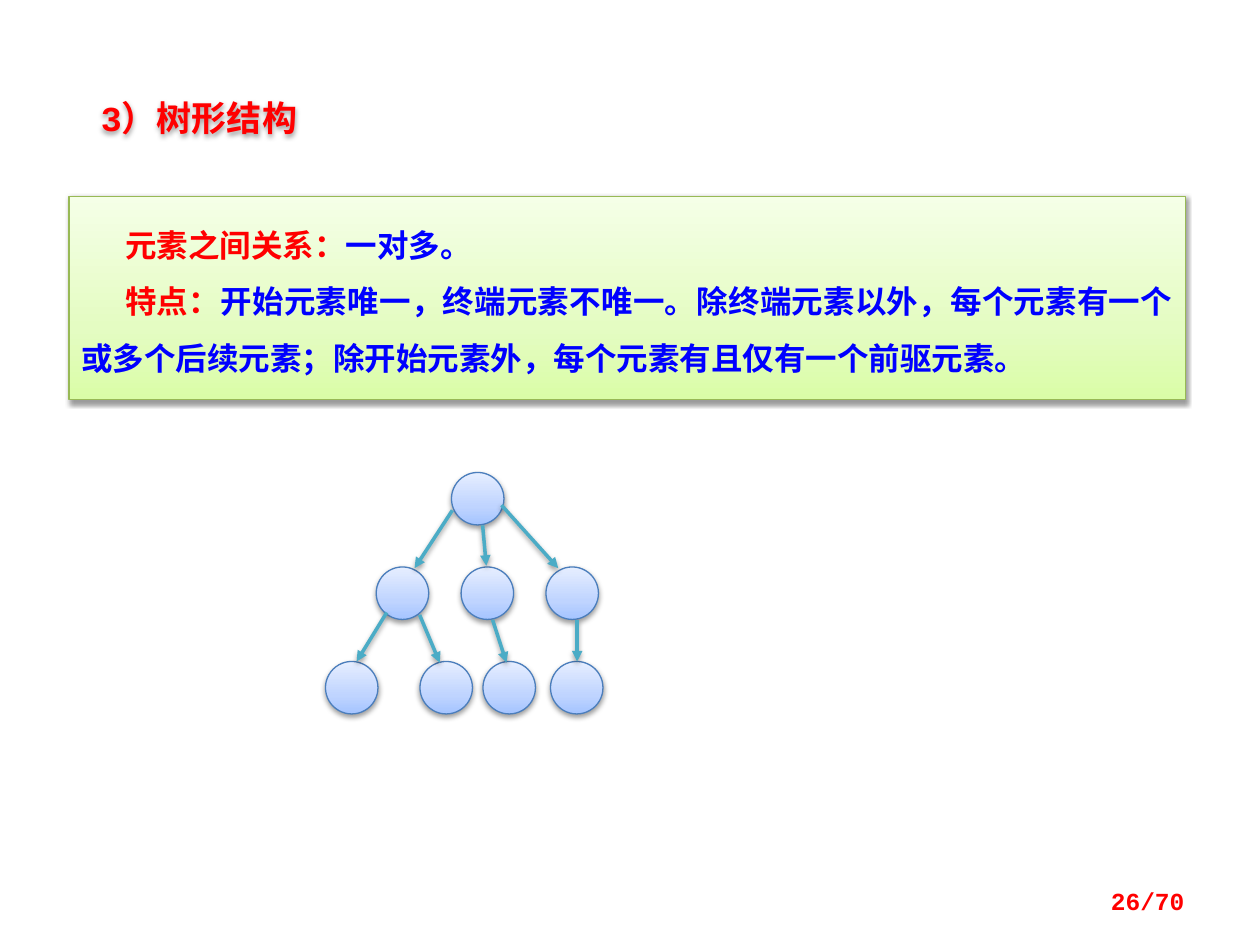
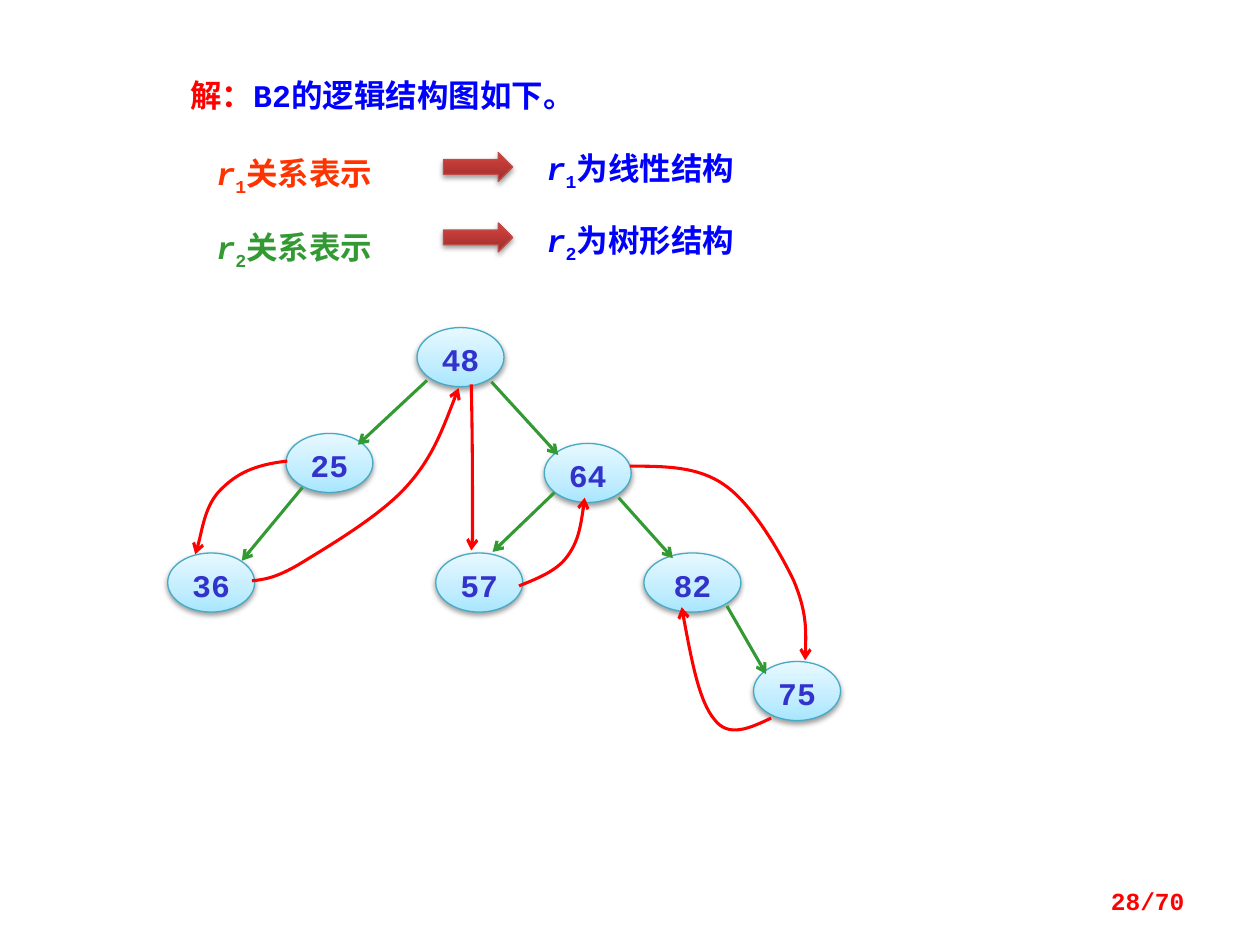
"""Build two slides on tree structures and logical structure diagrams."""
import pptx
import pptx.dml.color
import pptx.enum.shapes
import pptx.enum.text
import pptx.oxml.ns
import pptx.util
from lxml import etree

Pt = pptx.util.Pt
qn = pptx.oxml.ns.qn
SHAPE = pptx.enum.shapes.MSO_SHAPE
ALIGN = pptx.enum.text.PP_ALIGN
ANCHOR = pptx.enum.text.MSO_ANCHOR

LATIN, CJK = "Courier New", "Noto Sans CJK SC"
RED, BLUE, GREEN, ORANGE, INDIGO, TEAL = (
    "FF0000", "0000FF", "339933", "FF3300", "3333CC", "4BACC6")
GREEN_PANEL = ([(0, "DAFDA7"), (35, "E4FCC2"), (100, "F5FFE7")], "98B955")
BLUE_NODE = ([(0, "A4C4FF"), (35, "BFD4FF"), (100, "E6EEFF")], "4B7EBC")
CYAN_NODE = ([(0, "A7E6FF"), (35, "C1EDFF"), (100, "E7F8FF")], "46AAC5")
RED_BLOCK = ([(0, "9C2F2D"), (80, "CB3E3A"), (100, "CE3B37")], "BF4C48")

NODE = 30
TREE_ROWS = [(270, [258]), (324, [215, 263.5, 312]), (378, [186, 240, 276, 314.6])]
TREE_EDGES = [
    (258.5, 291.6, 236.9, 324.7), (275.8, 300.2, 277.9, 323.3),
    (286.6, 288.7, 319, 324.7), (221, 350, 203.8, 378),
    (239.8, 351.4, 251.3, 378.7), (281.5, 354.2, 289.4, 378.7),
    (329.8, 354.2, 329.8, 378)]

NUMBERS = [
    ("48", 238.3, 187.2, 49.7), ("25", 163.4, 247.7, 49.7),
    ("36", 95.8, 316, 49.7), ("64", 311, 253.4, 49.7),
    ("57", 249, 316, 49.7), ("82", 368, 316, 55.4), ("75", 430.6, 378, 49.7)]
R2_EDGES = [
    (244, 217.4, 204.5, 254.2), (172.8, 278.6, 138.2, 320.4),
    (280.8, 218.2, 319, 260), (353.5, 284.4, 384.5, 319),
    (316.8, 281.5, 281.5, 315.4), (415.4, 346.3, 437.8, 385.2)]
R1_CURVES = [
    [(164.2, 263.5), (144, 265.7), (134.6, 271.4), (126, 280),
     (117.4, 288.7), (114.5, 308.9), (111.6, 316.8)],
    [(144, 331.9), (150.5, 331.2), (157.7, 330.5), (172.1, 321.8),
     (187.2, 312.5), (216.7, 295.2), (231.8, 278.6),
     (247, 262.1), (254.2, 241.9), (262.1, 221.8)],
    [(269.3, 219.6), (270, 249.8), (270, 280.1), (270, 295.9),
     (270, 311.8), (270, 313.2), (269.3, 314.6)],
    [(296.6, 334.8), (307.4, 330.5), (318.2, 326.2), (324, 318.2),
     (330.5, 309.6), (332.6, 296.6), (334.1, 284.4)],
    [(440.6, 410.4), (428.4, 416.2), (416.2, 421.9), (408.2, 411.1),
     (399.6, 401), (394.6, 374.4), (389.5, 347)],
    [(360, 266.4), (379.4, 266.4), (398.9, 266.4), (414, 277.2),
     (429.8, 288), (445.7, 315.4), (453.6, 331.9),
     (460.8, 349.2), (460.8, 363.6), (460.1, 377.3)]]


def rgb(color):
    """Turn a hex string into a colour."""
    return pptx.dml.color.RGBColor.from_string(color)


def apply(obj, values):
    """Set each named attribute on the object."""
    for name, value in values.items():
        setattr(obj, name, value)


def add_effects(sp, shadow=True):
    """Give a shape its own effect list, with a soft drop shadow or none."""
    effects = etree.SubElement(sp._element.spPr, qn("a:effectLst"))
    if shadow:
        outer = etree.SubElement(
            effects, qn("a:outerShdw"), blurRad=str(Pt(3.1)), dist=str(Pt(1.6)),
            dir="5400000", rotWithShape="0")
        black = etree.SubElement(outer, qn("a:srgbClr"), val="000000")
        etree.SubElement(black, qn("a:alpha"), val="38000")


def set_line(sp, color, width, head=None):
    """Colour a line and put an arrowhead at its end."""
    sp.line.color.rgb = rgb(color)
    sp.line.width = Pt(width)
    if head:
        ln = sp._element.spPr.find(qn("a:ln"))
        etree.SubElement(ln, qn("a:tailEnd"), type=head)


def write(sp, paragraphs, size=18, frame=None, **para):
    """Write paragraphs of (text, colour, extras) runs into a shape."""
    tf = sp.text_frame
    apply(tf, {"word_wrap": True, "vertical_anchor": ANCHOR.TOP,
               "auto_size": pptx.enum.text.MSO_AUTO_SIZE.NONE, **(frame or {})})
    for i, runs in enumerate(paragraphs):
        p = tf.add_paragraph() if i else tf.paragraphs[0]
        apply(p, {"alignment": ALIGN.LEFT, **para})
        for text, color, *extras in runs:
            r = p.add_run()
            r.text = text
            fmt = dict(extras[0]) if extras else {}
            baseline = fmt.pop("baseline", None)
            apply(r.font, {"name": LATIN, "size": Pt(size), "bold": True, **fmt})
            r.font.color.rgb = rgb(color)
            rpr = r._r.get_or_add_rPr()
            etree.SubElement(rpr, qn("a:ea"), typeface=CJK)
            if baseline:
                rpr.set("baseline", baseline)


def add_title(s, box, runs, **options):
    """Place and fill the title placeholder."""
    sp = s.shapes.title
    apply(sp, dict(zip(("left", "top", "width", "height"), map(Pt, box))))
    write(sp, [runs], **options)
    return sp


def add_text(s, box, runs, **options):
    """Add a text box of one paragraph."""
    sp = s.shapes.add_textbox(*map(Pt, box))
    write(sp, [runs], **options)


def add_page_number(s, number):
    """Add the page count at the lower right."""
    add_text(s, (516, 500.4, 168, 28.8), [(f"{number}/70", RED)], size=14,
             frame={"vertical_anchor": ANCHOR.MIDDLE}, alignment=ALIGN.RIGHT)


def add_solid(s, kind, box, look):
    """Add a shape with a vertical gradient, an outline and a shadow."""
    stops, outline = look
    sp = s.shapes.add_shape(kind, *map(Pt, box))
    sp.fill.gradient()
    sp.fill.gradient_angle = 90
    stop_list = sp._element.spPr.find(".//" + qn("a:gsLst"))
    stop_list.clear()
    for position, color in stops:
        stop = etree.SubElement(stop_list, qn("a:gs"), pos=str(position * 1000))
        etree.SubElement(stop, qn("a:srgbClr"), val=color)
    set_line(sp, outline, 0.75)
    add_effects(sp)
    return sp


def add_arrow(s, ends, color, width, head, shadow=False):
    """Add a straight arrow."""
    kind = pptx.enum.shapes.MSO_CONNECTOR.STRAIGHT
    sp = s.shapes.add_connector(kind, *map(Pt, ends))
    set_line(sp, color, width, head)
    add_effects(sp, shadow)


def add_curve(s, points, color):
    """Add an arrow along cubic curves, three points to each curve."""
    start, *rest = [(Pt(x), Pt(y)) for x, y in points]
    builder = s.shapes.build_freeform(*start)
    builder.add_line_segments(rest, close=False)
    sp = builder.convert_to_shape()
    outline = sp._element.spPr.find(".//" + qn("a:path"))
    segments = outline.findall(qn("a:lnTo"))
    for i in range(0, len(segments), 3):
        curve = etree.SubElement(outline, qn("a:cubicBezTo"))
        for segment in segments[i:i + 3]:
            curve.append(segment[0])
            outline.remove(segment)
    sp.fill.background()
    set_line(sp, color, 1.75, "arrow")
    add_effects(sp, False)


def relation(index, text, color):
    """Return the runs for a subscripted relation name and its text."""
    return [("r", color, {"italic": True}),
            (index, color, {"baseline": "-25000"}), (text, color)]


def build_tree_slide(s):
    """Describe the tree structure and draw one."""
    title = add_title(s, (50.4, 56.2, 146.2, 26.6), [("3）树形结构", RED)],
                      size=20, line_spacing=0.8)
    add_effects(title)
    panel = add_solid(s, SHAPE.RECTANGLE, (39.4, 112.2, 638, 116), GREEN_PANEL)
    write(panel, [
        [("元素之间关系：", RED, {"name": CJK}), ("一对多。", BLUE)],
        [("特点：", RED, {"name": CJK}),
         ("开始元素唯一，终端元素不唯一。除终端元素以外，每个元素有一个或多个后续元素；"
          "除开始元素外，每个元素有且仅有一个前驱元素。", BLUE)]],
        frame={"margin_top": Pt(6), "margin_bottom": Pt(11.5)},
        alignment=ALIGN.JUSTIFY, line_spacing=1.5)
    for p in panel.text_frame.paragraphs:
        p._p.get_or_add_pPr().set("indent", str(Pt(25)))
    for top, lefts in TREE_ROWS:
        for left in lefts:
            add_solid(s, SHAPE.OVAL, (left, top, NODE, NODE), BLUE_NODE)
    for ends in TREE_EDGES:
        add_arrow(s, ends, TEAL, 2, "triangle", shadow=True)
    add_page_number(s, 26)


def build_answer_slide(s):
    """Show the logical structure of B2 with both relations."""
    add_title(s, (101.5, 39.6, 253.4, 28.8),
              [("解：", RED), ("B2的逻辑结构图如下。", BLUE)])
    rows = [("1", ORANGE, "为线性结构", 84.2, 84.2, 87.1),
            ("2", GREEN, "为树形结构", 126.7, 125.3, 127.4)]
    for index, color, result, left_top, right_top, arrow_top in rows:
        add_text(s, (116.6, left_top, 153.4, 23.8),
                 relation(index, "关系表示", color), line_spacing=0.8,
                 frame={"margin_top": Pt(6), "margin_bottom": 0})
        add_solid(s, SHAPE.RIGHT_ARROW, (253.4, arrow_top, 39.6, 16.6), RED_BLOCK)
        add_text(s, (305.3, right_top, 185.8, 24.5),
                 relation(index, result, BLUE), line_spacing=0.8)
    margins = dict.fromkeys(
        ("margin_left", "margin_top", "margin_right", "margin_bottom"), 0)
    for number, left, top, width in NUMBERS:
        sp = add_solid(s, SHAPE.OVAL, (left, top, width, 33.8), CYAN_NODE)
        write(sp, [[(number, INDIGO)]], alignment=ALIGN.CENTER, line_spacing=1.1,
              frame={**margins, "vertical_anchor": ANCHOR.MIDDLE})
    for ends in R2_EDGES:
        add_arrow(s, ends, GREEN, 1.75, "arrow")
    for points in R1_CURVES:
        add_curve(s, points, RED)
    add_page_number(s, 28)


def main():
    """Build and save the presentation."""
    prs = pptx.Presentation()
    apply(prs, {"slide_width": Pt(720), "slide_height": Pt(540)})
    for build in (build_tree_slide, build_answer_slide):
        build(prs.slides.add_slide(prs.slide_layouts[5]))
    prs.save("out.pptx")


if __name__ == "__main__":
    main()
